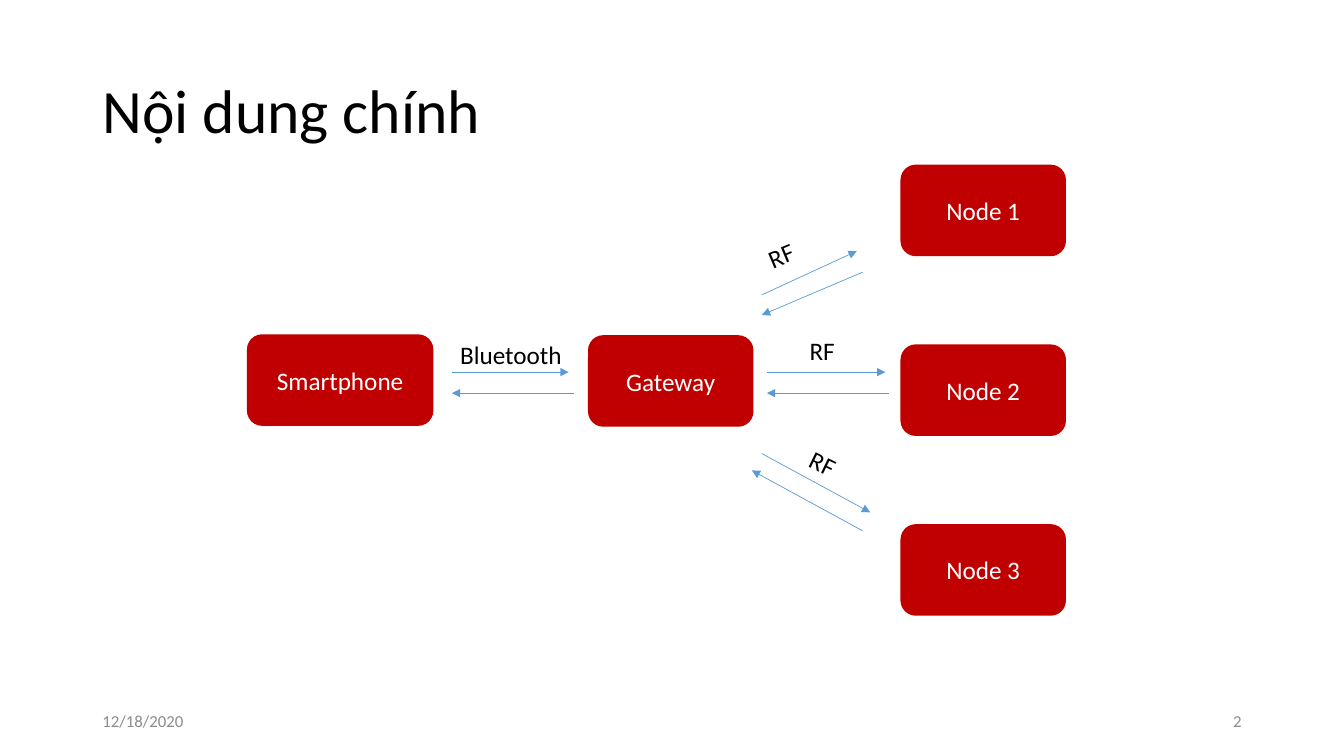
import pptx
import pptx.util
import pptx.dml.color
import pptx.enum.shapes
import pptx.enum.text
import pptx.oxml.ns
from lxml import etree

ALIGN = pptx.enum.text.PP_ALIGN
ANCHOR = pptx.enum.text.MSO_ANCHOR
WIDE, HIGH = 13.33, 7.5
COLS, ROWS = 160, 90
RED, BLUE, GREY, BLACK, WHITE = "C00000", "5B9BD5", "8C8C8C", "000000", "FFFFFF"


def ink(code):
    return pptx.dml.color.RGBColor.from_string(code)


def across(cols):
    return pptx.util.Inches(cols * WIDE / COLS)


def down(rows):
    return pptx.util.Inches(rows * HIGH / ROWS)


def frame(box):
    """Turn a grid box (column, row, columns, rows) into slide lengths."""
    left, top, wide, high = box
    return across(left), down(top), across(wide), down(high)


def write(shape, words, size, color, align=ALIGN.LEFT, anchor=ANCHOR.MIDDLE):
    text = shape.text_frame
    text.word_wrap = True
    text.auto_size = pptx.enum.text.MSO_AUTO_SIZE.NONE
    text.vertical_anchor = anchor
    para = text.paragraphs[0]
    para.alignment = align
    run = para.add_run()
    run.text = words
    run.font.name = "Calibri"
    run.font.size = pptx.util.Pt(size)
    run.font.color.rgb = ink(color)
    return para


def label(slide, box, words, size, color, turn=0, **place):
    shape = slide.shapes.add_textbox(*frame(box))
    shape.rotation = turn
    write(shape, words, size, color, **place)


def card(slide, box, words):
    shape = slide.shapes.add_shape(
        pptx.enum.shapes.MSO_SHAPE.ROUNDED_RECTANGLE, *frame(box))
    shape.shadow.inherit = False
    shape.fill.solid()
    shape.fill.fore_color.rgb = ink(RED)
    shape.line.fill.background()
    write(shape, words, 18, WHITE, ALIGN.CENTER)


def arrow(slide, start, end):
    line = slide.shapes.add_connector(
        pptx.enum.shapes.MSO_CONNECTOR.STRAIGHT,
        across(start[0]), down(start[1]), across(end[0]), down(end[1]))
    line.line.color.rgb = ink(BLUE)
    line.line.width = pptx.util.Pt(0.5)
    name = pptx.oxml.ns.qn
    etree.SubElement(line.line._get_or_add_ln(), name("a:tailEnd"), type="triangle")
    etree.SubElement(line._element.spPr, name("a:effectLst"))


def title(slide, box, words):
    shape = slide.shapes.title
    shape.left, shape.top, shape.width, shape.height = frame(box)
    write(shape, words, 44, BLACK).line_spacing = 0.9


def footer(slide, box, date, page):
    left, top, wide, high = box
    part = 36
    label(slide, (left, top, part, high), date, 12, GREY)
    label(slide, (left + wide - part, top, part, high), page, 12, GREY,
          align=ALIGN.RIGHT)


def network(slide, box):
    """Place the devices and the two-way links between them."""
    left, top, wide, high = box
    tall, broad, pitch = 10.9, 19.7, 21.4

    def shift(spot):
        return left + spot[0], top + spot[1]

    card(slide, (*shift((0, 20.2)), 22.2, tall), "Smartphone")
    card(slide, (*shift((40.6, 20.3)), broad, tall), "Gateway")
    for row in range(3):
        card(slide, (*shift((wide - broad, row * pitch)), broad, tall),
             f"Node {row + 1}")

    # Each link: words, label spot, label width, turn, arrow out, arrow back
    links = [
        ("Bluetooth", (24.2, 20.2), 15.2, 0,
         ((24.4, 24.7), (38.3, 24.7)), ((38.9, 27.2), (24.4, 27.2))),
        ("RF", (60.8, 8), 7.2, -22.6,
         ((61.3, 15.5), (72.6, 10.3)), ((73.3, 12.8), (61.3, 17.9))),
        ("RF", (65.8, 19.7), 7.2, 0,
         ((61.9, 24.7), (76, 24.7)), ((76.4, 27.2), (61.9, 27.2))),
        ("RF", (65.8, 33.5), 7.2, 25.9,
         ((61.3, 34.4), (74.2, 41.4)), ((73.3, 43.6), (60.1, 36.4))),
    ]
    for words, spot, span, turn, *pair in links:
        for start, end in pair:
            arrow(slide, shift(start), shift(end))
        label(slide, (*shift(spot), span, 4.8), words, 18, BLACK, turn,
              anchor=ANCHOR.TOP)


def main():
    deck = pptx.Presentation()
    deck.slide_width = pptx.util.Inches(WIDE)
    deck.slide_height = pptx.util.Inches(HIGH)
    slide = deck.slides.add_slide(deck.slide_layouts[5])
    title(slide, (11, 4.8, 138, 17.4), "Nội dung chính")
    footer(slide, (11, 83.4, 138, 4.8), "12/18/2020", "2")
    network(slide, (29.4, 19.6, 97.5, 53.7))
    deck.save("out.pptx")


if __name__ == "__main__":
    main()
